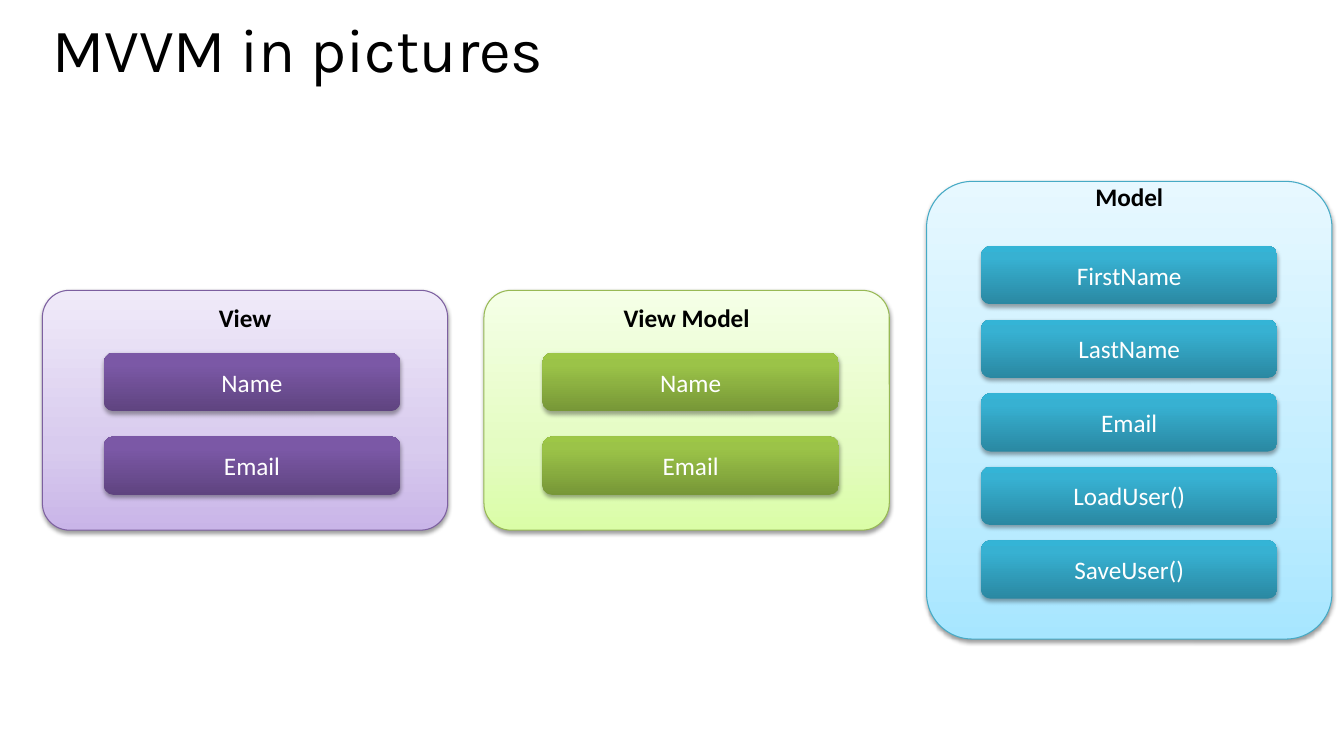
from dataclasses import dataclass

from lxml import etree
from pptx import Presentation
from pptx import util as u
from pptx.dml import color
from pptx.enum import shapes, text
from pptx.oxml import ns

HUES = {
    "black": "000000",
    "white": "FFFFFF",
    "violet": "7D60A0",
    "violet_pale": "C9B5E8 D8CBEE F0EAF9",
    "violet_deep": "5F4480 7B58A6 7C57A8",
    "green": "98B955",
    "green_pale": "DAFDA7 E4FCC2 F5FFE7",
    "green_deep": "779737 9BC348 9DC746",
    "blue": "46AAC5",
    "blue_pale": "A7E6FF C1EDFF E7F8FF",
    "blue_deep": "2A88A2 37B1D2 34B4D6",
}


@dataclass
class Panel:
    title: str
    hue: str
    left: float
    top: float
    high: float
    inset: float
    key_left: float
    key_top: float
    step: float
    keys: list[str]


PANELS = [
    Panel("View", "violet", 0.42, 2.88, 2.38, 0.04,
          1.03, 3.5, 0.83, ["Name", "Email"]),
    Panel("View Model", "green", 4.8, 2.88, 2.38, 0.04,
          5.38, 3.5, 0.83, ["Name", "Email"]),
    Panel("Model", "blue", 9.19, 1.8, 4.54, -0.13,
          9.73, 2.44, 0.73,
          ["FirstName", "LastName", "Email", "LoadUser()", "SaveUser()"]),
]


def add_node(root, tag: str, **attrs: int | str):
    return etree.SubElement(root, ns.qn(tag),
                            {key: str(val) for key, val in attrs.items()})


def shade(shape, name: str, middle: int) -> None:
    shape.fill.gradient()
    shape.fill.gradient_angle = 90
    stops = shape.fill._xPr.find(".//" + ns.qn("a:gsLst"))
    for stop in list(stops):
        stops.remove(stop)
    for spot, hue in zip((0, middle, 100), HUES[name].split()):
        stop = add_node(stops, "a:gs", pos=spot * 1000)
        add_node(stop, "a:srgbClr", val=hue)


def drop_shadow(shape, dist: float, alpha: int) -> None:
    shape.shadow.inherit = False
    root = shape._element.spPr.find(ns.qn("a:effectLst"))
    outer = add_node(root, "a:outerShdw", blurRad=u.Pt(3.1), dist=u.Pt(dist),
                     dir=5400000, rotWithShape=0)
    tint = add_node(outer, "a:srgbClr", val=HUES["black"])
    add_node(tint, "a:alpha", val=alpha * 1000)


def write(shape, words: str, hue: str, size: int = 18,
          face: str = "Calibri", bold: bool = False) -> None:
    frame = shape.text_frame
    frame.word_wrap = True
    frame.text = words
    font = frame.paragraphs[0].runs[0].font
    font.name = face
    font.size = u.Pt(size)
    font.bold = bold
    font.color.rgb = color.RGBColor.from_string(HUES[hue])


def add_box(slide, left: float, top: float, wide: float, high: float):
    return slide.shapes.add_shape(
        shapes.MSO_SHAPE.ROUNDED_RECTANGLE, u.Inches(left), u.Inches(top),
        u.Inches(wide), u.Inches(high))


def draw_key(slide, words: str, hue: str, left: float, top: float) -> None:
    box = add_box(slide, left, top, 2.94, 0.58)
    shade(box, hue + "_deep", 80)
    box.line.fill.background()
    drop_shadow(box, 1.8, 35)
    write(box, words, "white")
    box.text_frame.vertical_anchor = text.MSO_ANCHOR.MIDDLE
    box.text_frame.paragraphs[0].alignment = text.PP_ALIGN.CENTER


def draw_panel(slide, panel: Panel) -> None:
    box = add_box(slide, panel.left, panel.top, 4.02, panel.high)
    box.adjustments[0] = 0.113
    shade(box, panel.hue + "_pale", 35)
    box.line.color.rgb = color.RGBColor.from_string(HUES[panel.hue])
    box.line.width = u.Pt(0.75)
    drop_shadow(box, 1.6, 38)
    write(box, panel.title, "black", bold=True)
    box.text_frame.vertical_anchor = text.MSO_ANCHOR.TOP
    box.text_frame.margin_top = u.Inches(panel.inset)
    box.text_frame.paragraphs[0].alignment = text.PP_ALIGN.CENTER
    for row, words in enumerate(panel.keys):
        draw_key(slide, words, panel.hue, panel.key_left,
                 panel.key_top + row * panel.step)


def main() -> None:
    deck = Presentation()
    deck.slide_width = u.Inches(13.33)
    deck.slide_height = u.Inches(7.5)
    slide = deck.slides.add_slide(deck.slide_layouts[6])
    title = slide.shapes.add_textbox(
        u.Inches(0.42), u.Inches(0.2), u.Inches(12.6), u.Inches(1.16))
    write(title, "MVVM in pictures", "black", size=44, face="Karla")
    title.text_frame.paragraphs[0].line_spacing = 0.8
    for panel in PANELS:
        draw_panel(slide, panel)
    deck.save("out.pptx")


if __name__ == "__main__":
    main()
